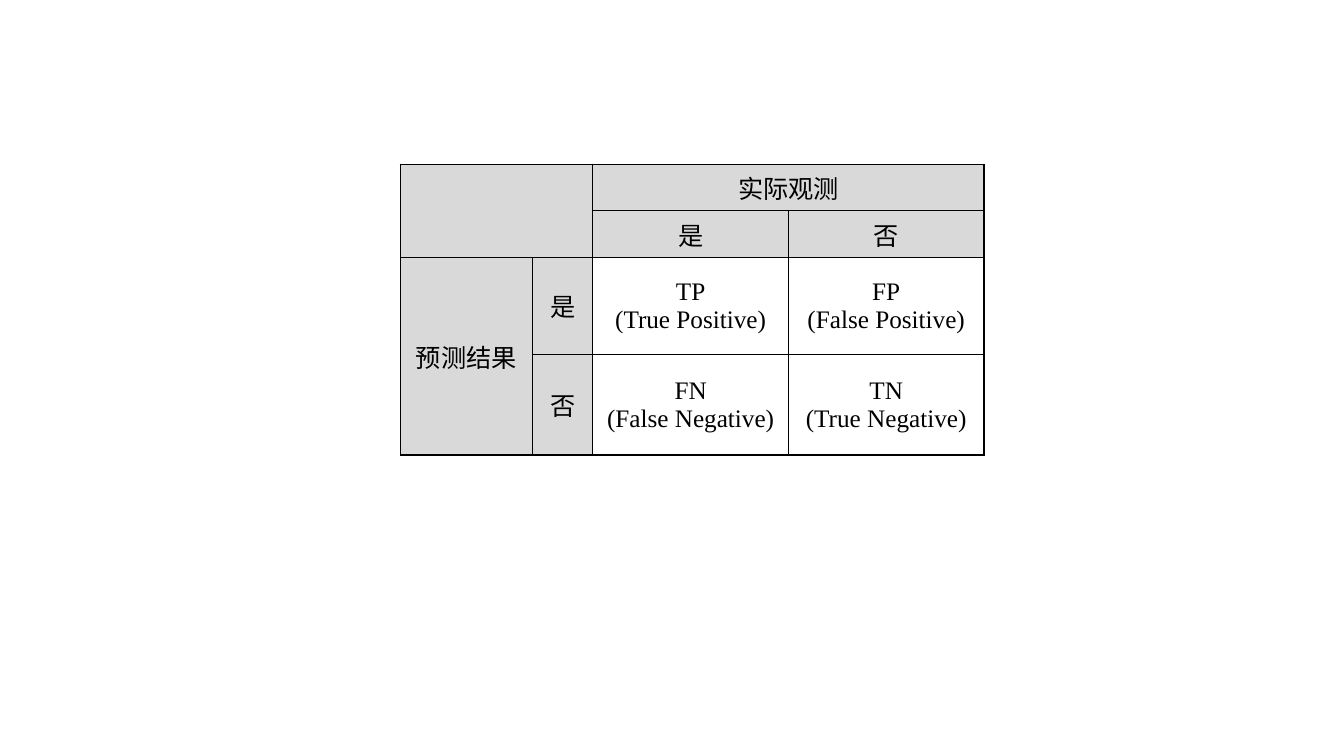
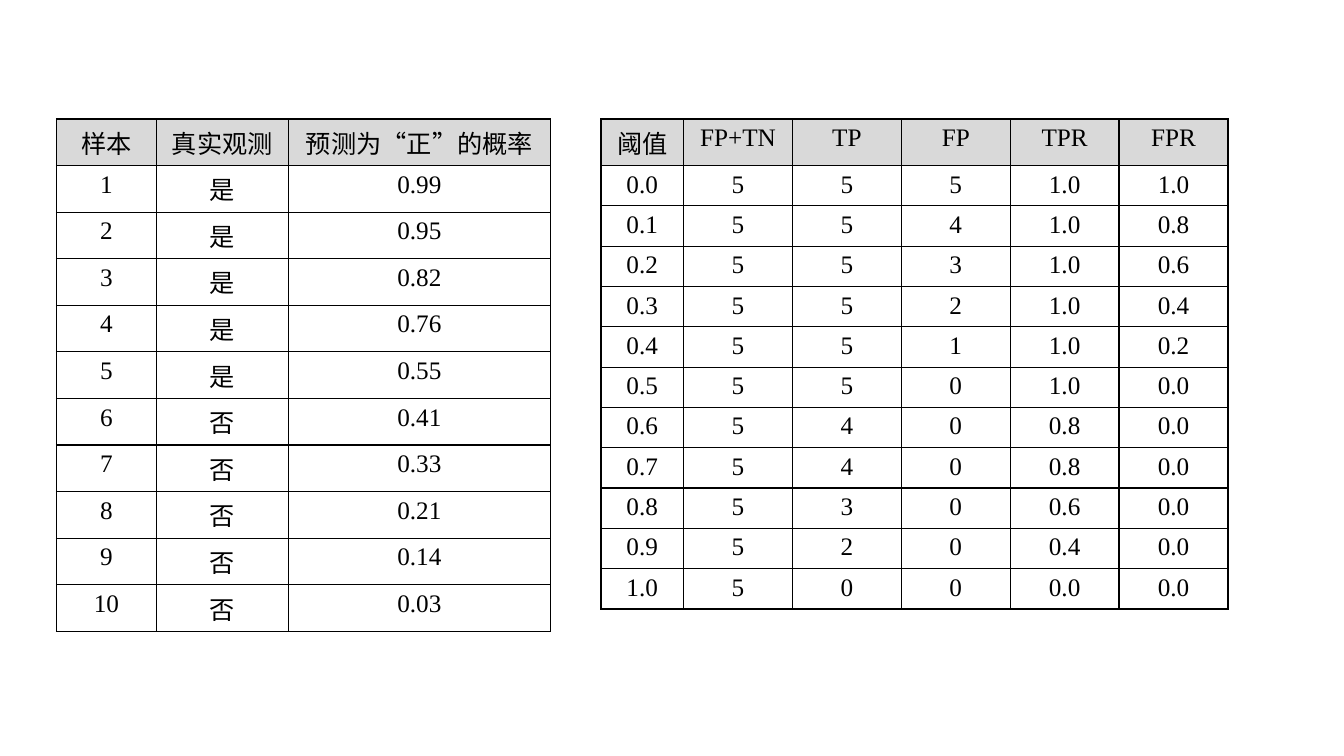
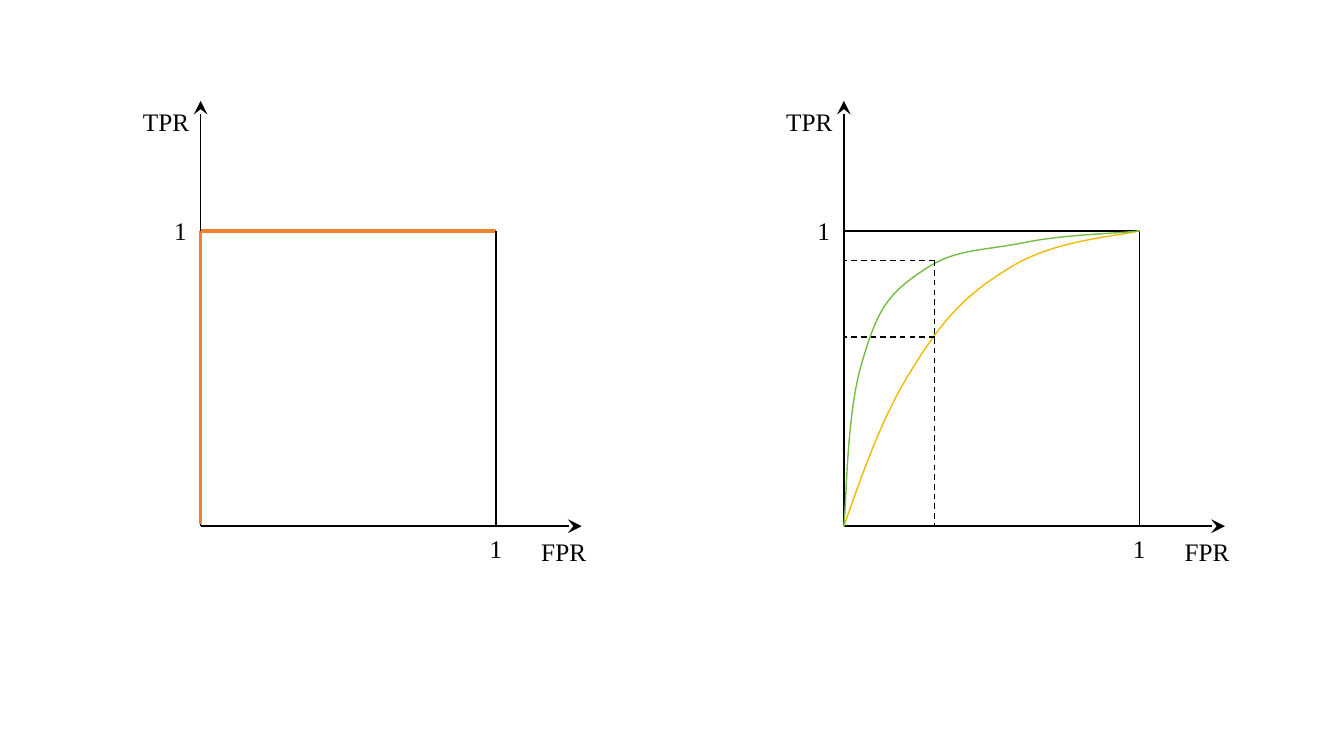
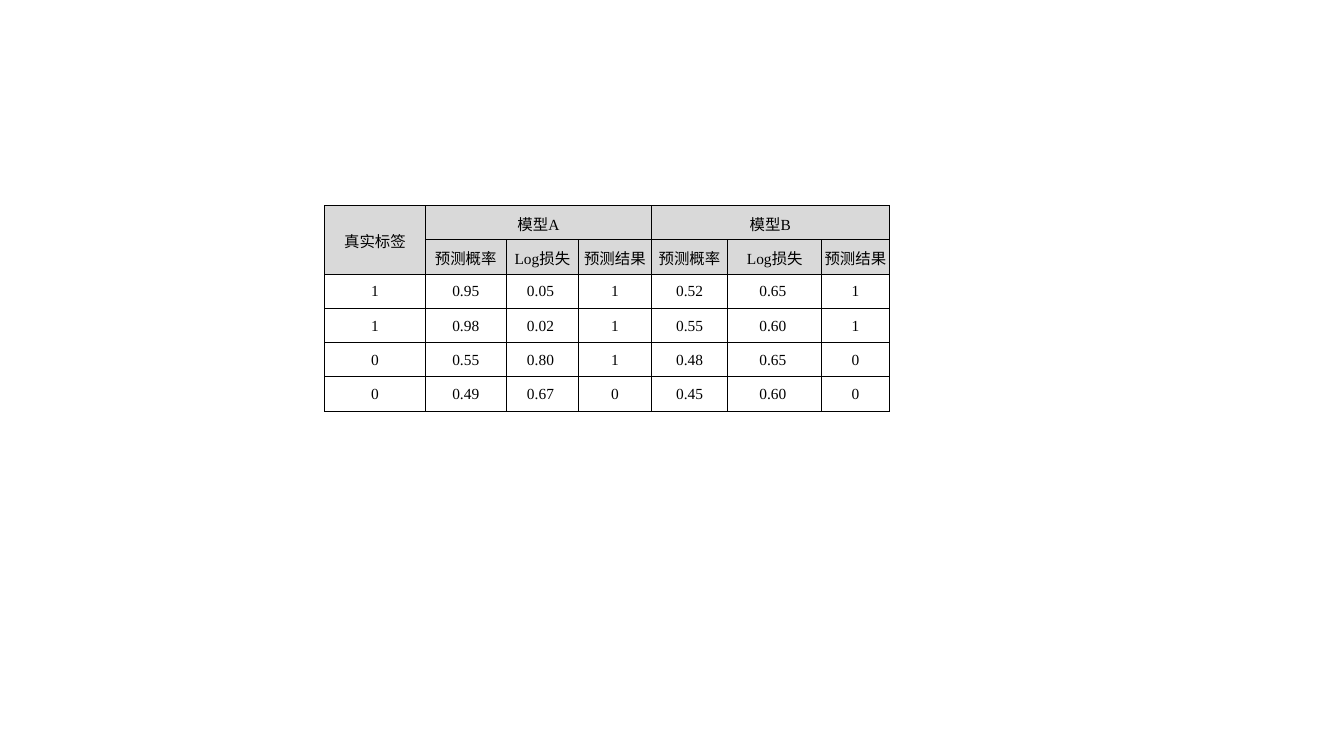
import lxml.etree
import pptx
import pptx.dml.color
import pptx.enum.dml
import pptx.enum.shapes
import pptx.enum.text
import pptx.oxml.ns
import pptx.util

# Shared style
FONT = "Times New Roman"
BLACK, HEADER_GREY = "000000", "D9D9D9"
ORANGE, YELLOW, GREEN = "EE822F", "F2BA02", "75BD42"
CENTER, LEFT = pptx.enum.text.PP_ALIGN.CENTER, pptx.enum.text.PP_ALIGN.LEFT
TOP, MIDDLE = pptx.enum.text.MSO_ANCHOR.TOP, pptx.enum.text.MSO_ANCHOR.MIDDLE
inch, pt = pptx.util.Inches, pptx.util.Pt
rgb = pptx.dml.color.RGBColor.from_string
qn = pptx.oxml.ns.qn

deck = pptx.Presentation()
deck.slide_width, deck.slide_height = inch(13.33), inch(7.5)
blank = deck.slide_layouts[6]


def put_table(slide, left, top, columns, rows, content, head_rows=1, head_columns=0,
              spans=(), size=18, margins=None, anchors=None):
    """Ruled table with grey heads; spans are (row, column, last row, last column)."""
    frame = slide.shapes.add_table(len(rows), len(columns), inch(left), inch(top),
                                   inch(sum(columns)), inch(sum(rows)))
    grid = frame.table
    grid.first_row = grid.horz_banding = False
    for column, width in zip(grid.columns, columns):
        column.width = inch(width)
    for row, height in zip(grid.rows, rows):
        row.height = inch(height)
    for r, texts in enumerate(content):
        for c, text in enumerate(texts):
            cell = grid.cell(r, c)
            cell.vertical_anchor = anchors[r] if anchors else TOP
            if margins:
                (cell.margin_left, cell.margin_top,
                 cell.margin_right, cell.margin_bottom) = map(inch, margins)
            # Borders come before the fill in the cell properties
            properties = cell._tc.get_or_add_tcPr()
            for side in ("a:lnL", "a:lnR", "a:lnT", "a:lnB"):
                border = lxml.etree.SubElement(properties, qn(side), w=str(pt(1)))
                paint = lxml.etree.SubElement(border, qn("a:solidFill"))
                lxml.etree.SubElement(paint, qn("a:srgbClr"), val=BLACK)
            if r < head_rows or c < head_columns:
                cell.fill.solid()
                cell.fill.fore_color.rgb = rgb(HEADER_GREY)
            else:
                cell.fill.background()
            if not text:
                continue
            cell.text_frame.text = text
            for paragraph in cell.text_frame.paragraphs:
                paragraph.alignment = CENTER
                font = paragraph.runs[0].font
                font.name, font.size, font.color.rgb = FONT, pt(size), rgb(BLACK)
    for r, c, last_r, last_c in spans:
        grid.cell(r, c).merge(grid.cell(last_r, last_c))


def draw_line(slide, start, end, color=BLACK, width=1, dashed=False, arrow=False):
    line = slide.shapes.add_connector(pptx.enum.shapes.MSO_CONNECTOR.STRAIGHT,
                                      *map(inch, start + end))
    line.line.color.rgb = rgb(color)
    line.line.width = pt(width)
    if dashed:
        line.line.dash_style = pptx.enum.dml.MSO_LINE.DASH
    if arrow:
        lxml.etree.SubElement(line.line._get_or_add_ln(), qn("a:tailEnd"),
                              type="stealth", w="lg", len="lg")
    lxml.etree.SubElement(line._element.spPr, qn("a:effectLst"))


# Slide 1: confusion matrix
slide = deck.slides.add_slide(blank)
put_table(slide, 3.97, 1.63, [1.31, 0.6, 1.94, 1.94], [0.39, 0.23, 0.96, 1],
          [["", "", "实际观测", ""],
           ["", "", "是", "否"],
           ["预测结果", "是", "TP\n(True Positive)", "FP\n(False Positive)"],
           ["", "否", "FN\n(False Negative)", "TN\n(True Negative)"]],
          head_rows=2, head_columns=2, anchors=[TOP, TOP, MIDDLE, MIDDLE],
          spans=[(0, 0, 1, 1), (0, 2, 0, 3), (2, 0, 3, 0)])

# Slide 2: samples, and the rates at each threshold
slide = deck.slides.add_slide(blank)
TABLE_TOP = 1.18
probabilities = ["0.99", "0.95", "0.82", "0.76", "0.55", "0.41", "0.33", "0.21", "0.14", "0.03"]
samples = [["样本", "真实观测", "预测为“正”的概率"]]
for number, probability in enumerate(probabilities, 1):
    samples.append([str(number), "是" if number <= 5 else "否", probability])
put_table(slide, 0.56, TABLE_TOP, [0.99, 1.31, 2.6], [0.42] * len(samples), samples)

negatives = positives = 5
true_positives = [5, 5, 5, 5, 5, 5, 4, 4, 3, 2, 0]
false_positives = [5, 4, 3, 2, 1, 0, 0, 0, 0, 0, 0]
rates = [["阈值", "FP+TN", "TP", "FP", "TPR", "FPR"]]
for step, (tp, fp) in enumerate(zip(true_positives, false_positives)):
    rates.append([f"{step / 10:.1f}", str(negatives), str(tp), str(fp),
                  f"{tp / positives:.1f}", f"{fp / negatives:.1f}"])
put_table(slide, 5.96, TABLE_TOP, [0.82] + [1.08] * 5, [0.4] * len(rates), rates)

# Slide 3: ROC curves, drawn on unit squares
slide = deck.slides.add_slide(blank)
SIDE, BASE = 2.93, 5.22
AXIS_TOP, AXIS_LENGTH = 1, 3.78
LEFT_PLOT, RIGHT_PLOT = 1.99, 8.37
unit_top = BASE - SIDE
for origin in (RIGHT_PLOT, LEFT_PLOT):
    far = origin + SIDE
    ideal = origin == LEFT_PLOT
    draw_line(slide, (origin, BASE), (origin, AXIS_TOP), arrow=True)
    draw_line(slide, (origin, BASE), (origin + AXIS_LENGTH, BASE), arrow=True)
    draw_line(slide, (origin, unit_top), (far, unit_top),
              ORANGE if ideal else BLACK, 2.5 if ideal else 1)
    draw_line(slide, (far, unit_top), (far, BASE))
    for label, dx, top, width, align in [("1", -0.36, 2.09, 0.44, LEFT),
                                         ("TPR", -0.67, 1.01, 0.84, LEFT),
                                         ("FPR", 3.28, 5.27, 0.84, LEFT),
                                         ("1", 2.71, 5.24, 0.44, CENTER)]:
        box = slide.shapes.add_textbox(inch(origin + dx), inch(top), inch(width), inch(0.37))
        box.text_frame.word_wrap = True
        box.text_frame.text = label
        paragraph = box.text_frame.paragraphs[0]
        paragraph.alignment = align
        font = paragraph.runs[0].font
        font.name, font.size, font.color.rgb = FONT, pt(18), rgb(BLACK)
    if ideal:
        draw_line(slide, (origin, unit_top), (origin, BASE - 0.02), ORANGE, 2.5)

# Each curve is three cubic Bezier pieces in (FPR, TPR)
curves = {
    YELLOW: [(0, 0), (0.04, 0.11), (0.12, 0.36), (0.23, 0.53), (0.34, 0.71),
             (0.42, 0.79), (0.57, 0.88), (0.72, 0.97), (0.92, 0.98), (1, 1)],
    GREEN: [(0, 0), (0.01, 0.11), (0.01, 0.38), (0.06, 0.55), (0.11, 0.72),
            (0.14, 0.78), (0.26, 0.86), (0.37, 0.94), (0.46, 0.93), (0.61, 0.96),
            (0.76, 0.99), (0.93, 0.99), (1, 1)],
}
for color, controls in curves.items():
    points = [(inch(RIGHT_PLOT + fpr * SIDE), inch(BASE - tpr * SIDE))
              for fpr, tpr in controls]
    builder = slide.shapes.build_freeform(*points[0])
    builder.add_line_segments(points[1:], close=False)
    curve = builder.convert_to_shape()
    # Every three straight segments become one cubic piece
    segments = list(curve._element.iter(qn("a:lnTo")))
    for first in range(0, len(segments), 3):
        piece = lxml.etree.Element(qn("a:cubicBezTo"))
        segments[first].addprevious(piece)
        for segment in segments[first:first + 3]:
            piece.append(segment[0])
            segment.getparent().remove(segment)
    curve.shadow.inherit = False
    curve.fill.background()
    curve.line.color.rgb = rgb(color)
    curve.line.width = pt(1)

# Both curves read at the same FPR
reading = RIGHT_PLOT + 0.9
draw_line(slide, (reading, BASE - 0.9 * SIDE), (reading, BASE), dashed=True)
for tpr in (0.9, 0.64):
    height = BASE - tpr * SIDE
    draw_line(slide, (reading, height), (RIGHT_PLOT, height), dashed=True)

# Slide 4: log loss of two models
slide = deck.slides.add_slide(blank)
measures = ["预测概率", "Log损失", "预测结果"]
put_table(slide, 3.22, 2.04, [1, 0.8, 0.72, 0.72, 0.76, 0.93, 0.67], [0.34] * 6,
          [["真实标签", "模型A", "", "", "模型B", "", ""],
           [""] + measures * 2,
           ["1", "0.95", "0.05 ", "1", "0.52", "0.65 ", "1"],
           ["1", "0.98", "0.02 ", "1", "0.55", "0.60 ", "1"],
           ["0", "0.55", "0.80 ", "1", "0.48", "0.65 ", "0"],
           ["0", "0.49", "0.67 ", "0", "0.45", "0.60 ", "0"]],
          head_rows=2, size=11, margins=(0.01, 0.01, 0.01, 0), anchors=[MIDDLE] * 6,
          spans=[(0, 0, 1, 0), (0, 1, 0, 3), (0, 4, 0, 6)])

deck.save("out.pptx")
